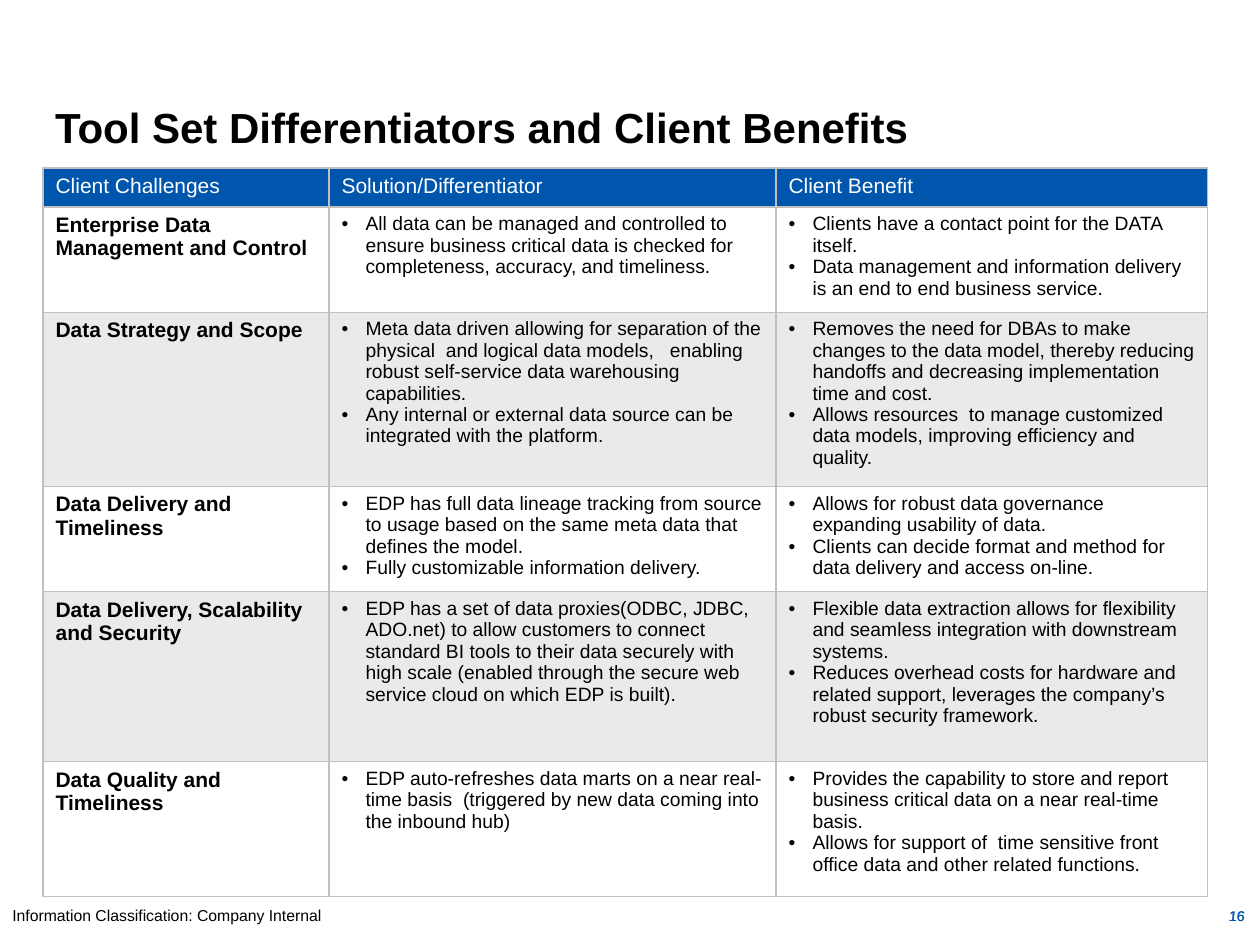
from lxml import etree
from pptx import Presentation
from pptx.dml.color import RGBColor
from pptx.enum.text import MSO_ANCHOR, MSO_AUTO_SIZE, PP_ALIGN
from pptx.oxml.ns import qn
from pptx.util import Emu, Pt

LEFT, RIGHT = PP_ALIGN.LEFT, PP_ALIGN.RIGHT
TOP, BOTTOM = MSO_ANCHOR.TOP, MSO_ANCHOR.BOTTOM
NO_AUTOSIZE = MSO_AUTO_SIZE.NONE

BLUE = RGBColor(0x00, 0x55, 0xAD)
BLACK = RGBColor(0x00, 0x00, 0x00)
WHITE = RGBColor(0xFF, 0xFF, 0xFF)
BAND_GRAY = RGBColor(0xEA, 0xEA, 0xEA)
BORDER_GRAY = RGBColor(0xC0, 0xC0, 0xC0)

FONT = "Arial"
PX_PER_INCH = 126
TITLE_ONLY = 5
BULLET_INDENT = 24
COLUMN_WIDTHS = [286, 447, 432]
ROW_HEIGHTS = [39, 105, 174, 105, 170, 135]

HEADERS = ["Client Challenges", "Solution/Differentiator", "Client Benefit"]
ROWS = [
    ("Enterprise Data Management and Control",
     ["All data can be managed and controlled to ensure business critical data "
      "is checked for completeness, accuracy, and timeliness."],
     ["Clients have a contact point for the DATA itself.",
      "Data management and information delivery is an end to end business service."]),
    ("Data Strategy and Scope",
     ["Meta data driven allowing for separation of the physical  and logical data "
      "models,   enabling robust self-service data warehousing capabilities.",
      "Any internal or external data source can be integrated with the platform."],
     ["Removes the need for DBAs to make changes to the data model, thereby "
      "reducing handoffs and decreasing implementation time and cost.",
      "Allows resources  to manage customized data models, improving efficiency "
      "and quality."]),
    ("Data Delivery and Timeliness",
     ["EDP has full data lineage tracking from source to usage based on the same "
      "meta data that defines the model.",
      "Fully customizable information delivery."],
     ["Allows for robust data governance expanding usability of data.",
      "Clients can decide format and method for data delivery and access on-line."]),
    ("Data Delivery, Scalability and Security",
     ["EDP has a set of data proxies(ODBC, JDBC, ADO.net) to allow customers to "
      "connect standard BI tools to their data securely with high scale (enabled "
      "through the secure web service cloud on which EDP is built)."],
     ["Flexible data extraction allows for flexibility and seamless integration "
      "with downstream systems.",
      "Reduces overhead costs for hardware and related support, leverages the "
      "company’s robust security framework."]),
    ("Data Quality and Timeliness",
     ["EDP auto-refreshes data marts on a near real-time basis  (triggered by new "
      "data coming into the inbound hub)"],
     ["Provides the capability to store and report business critical data on a "
      "near real-time basis.",
      "Allows for support of  time sensitive front office data and other related "
      "functions."]),
]


def px(length):
    """Turn a length in px into EMU."""
    return Emu(round(length * 914400 / PX_PER_INCH))


def add_bullet(paragraph):
    """Give a paragraph a round bullet and a hanging indent."""
    properties = paragraph._p.get_or_add_pPr()
    properties.set("marL", str(px(BULLET_INDENT)))
    properties.set("indent", str(px(-BULLET_INDENT)))
    etree.SubElement(properties, qn("a:buFont"), typeface=FONT)
    etree.SubElement(properties, qn("a:buChar"), char="•")


def write_text(text_frame, lines, size=11, color=BLACK, bold=False,
               italic=False, align=LEFT, bullets=False):
    """Fill a text frame with one formatted paragraph for each line."""
    for index, line in enumerate(lines):
        paragraph = text_frame.add_paragraph() if index else text_frame.paragraphs[0]
        paragraph.alignment = align
        if bullets:
            add_bullet(paragraph)
        run = paragraph.add_run()
        run.text = line
        font = run.font
        font.name, font.size = FONT, Pt(size)
        font.bold, font.italic = bold, italic
        font.color.rgb = color


def add_title(slide, text):
    """Place and format the title placeholder."""
    title = slide.shapes.title
    title.left, title.top, title.width, title.height = map(px, (55, 102, 1134, 50))
    frame = title.text_frame
    frame.margin_left = frame.margin_right = frame.margin_top = frame.margin_bottom = 0
    frame.auto_size = NO_AUTOSIZE
    frame.vertical_anchor = BOTTOM
    write_text(frame, [text], size=24, bold=True)


def add_label(slide, box, text, **text_format):
    """Add a wrapped text box at a px box of left, top, width and height."""
    frame = slide.shapes.add_textbox(*map(px, box)).text_frame
    frame.word_wrap = True
    write_text(frame, [text], **text_format)


def add_borders(cell):
    """Draw a thin gray line on every side of a cell."""
    properties = cell._tc.get_or_add_tcPr()
    for side in ("lnL", "lnR", "lnT", "lnB"):
        line = etree.SubElement(properties, qn(f"a:{side}"), w=str(Pt(0.75)))
        fill = etree.SubElement(line, qn("a:solidFill"))
        etree.SubElement(fill, qn("a:srgbClr"), val=str(BORDER_GRAY))


def format_cell(cell, lines, fill, **text_format):
    """Set the borders, fill and text of a table cell."""
    add_borders(cell)
    cell.fill.solid()
    cell.fill.fore_color.rgb = fill
    cell.vertical_anchor = TOP
    write_text(cell.text_frame, lines, **text_format)


def add_benefits_table(slide):
    """Add the table of challenges, solutions and benefits."""
    table = slide.shapes.add_table(
        len(ROW_HEIGHTS), len(COLUMN_WIDTHS), px(43), px(168),
        px(sum(COLUMN_WIDTHS)), px(sum(ROW_HEIGHTS))).table
    table.first_row = table.horz_banding = False
    for column, width in zip(table.columns, COLUMN_WIDTHS):
        column.width = px(width)
    for row, height in zip(table.rows, ROW_HEIGHTS):
        row.height = px(height)
    for column_index, header in enumerate(HEADERS):
        format_cell(table.cell(0, column_index), [header], BLUE, size=12, color=WHITE)
    for row_index, (challenge, *lists) in enumerate(ROWS, start=1):
        fill = WHITE if row_index % 2 else BAND_GRAY
        format_cell(table.cell(row_index, 0), [challenge], fill, size=12, bold=True)
        for column_index, items in enumerate(lists, start=1):
            format_cell(table.cell(row_index, column_index), items, fill, bullets=True)


def main():
    """Build the slide and save it."""
    presentation = Presentation()
    presentation.slide_width, presentation.slide_height = px(1260), px(945)
    slide = presentation.slides.add_slide(presentation.slide_layouts[TITLE_ONLY])
    add_label(slide, (0, 900, 1260, 31), "Information Classification: Company Internal",
              size=9)
    for italic in (False, True):
        add_label(slide, (964, 901, 293, 31), "16", size=8, color=BLUE,
                  italic=italic, align=RIGHT)
    add_title(slide, "Tool Set Differentiators and Client Benefits")
    add_benefits_table(slide)
    presentation.save("out.pptx")


if __name__ == "__main__":
    main()
